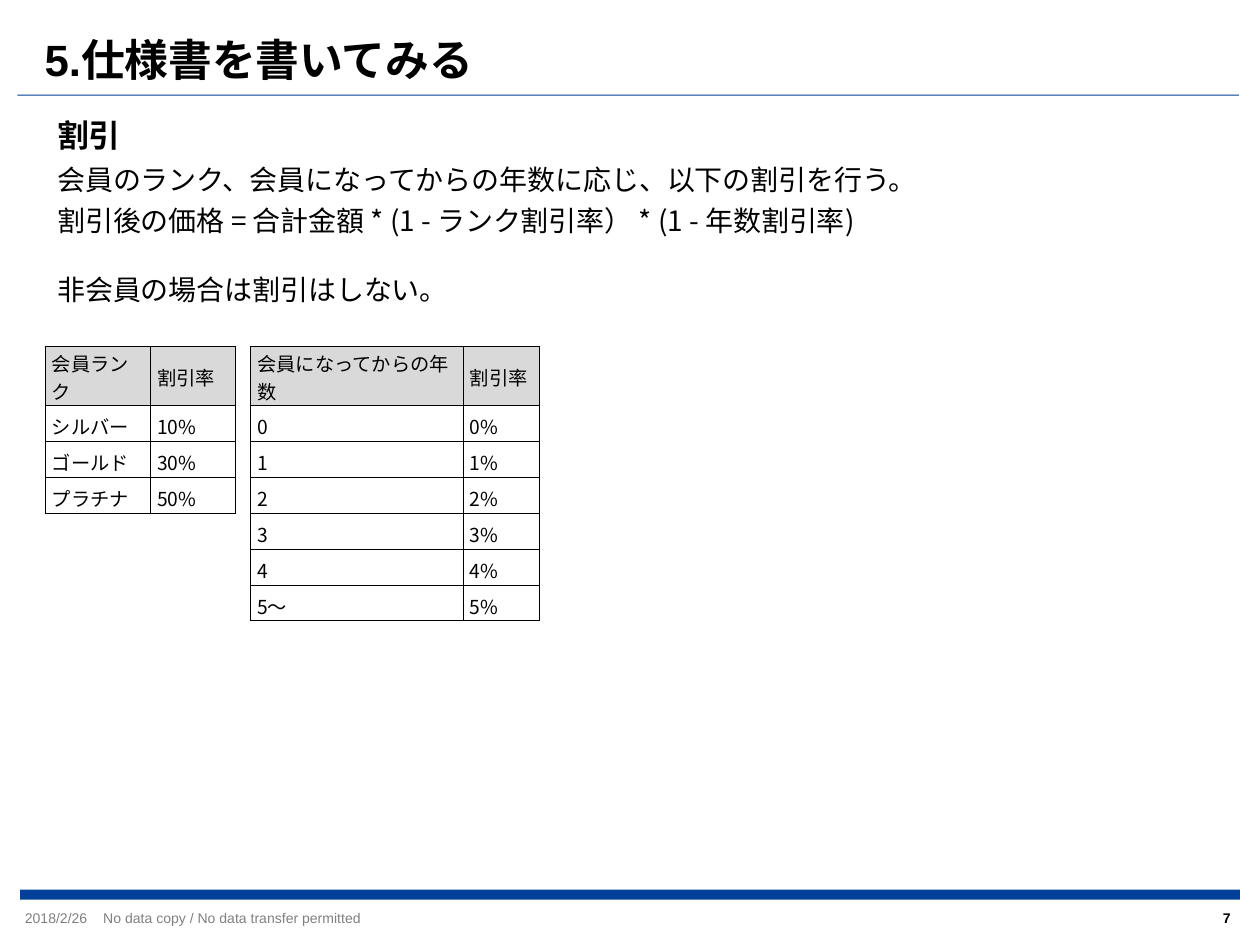
from lxml.etree import SubElement
from pptx import Presentation
from pptx.dml.color import RGBColor
from pptx.enum.shapes import MSO_SHAPE as Shape
from pptx.enum.text import MSO_ANCHOR as Anchor, PP_ALIGN as Align
from pptx.oxml.ns import qn
from pptx.util import Pt

BLACK, GRAY, BLUE, HEADER_FILL = "000000", "808080", "004098", "D9D9D9"
LATIN, JAPANESE = "Arial", "Noto Sans CJK JP"


def color(hex_text):
    """Turn a hex string into a colour."""
    return RGBColor.from_string(hex_text)


def add_span(para, text, size, font=JAPANESE, ink=BLACK, bold=False):
    """Add one formatted run to a paragraph."""
    span = para.add_run()
    span.text = text
    span.font.size = Pt(size)
    span.font.name = font
    span.font.bold = bold
    span.font.color.rgb = color(ink)
    SubElement(span.font._element, qn("a:ea")).set("typeface", JAPANESE)


def place(box, left, top, width, height):
    """Move and size a shape."""
    box.left, box.top, box.width, box.height = map(Pt, (left, top, width, height))


def set_frame(frame, side=0, top=0, anchor=Anchor.TOP, wrap=True):
    """Set the margins, anchor and wrapping of a text frame."""
    frame.margin_left = frame.margin_right = Pt(side)
    frame.margin_top, frame.margin_bottom = Pt(top), Pt(0)
    frame.vertical_anchor = anchor
    frame.word_wrap = wrap


def add_bar(page, left, top, width, height):
    """Draw a plain blue bar."""
    bar = page.shapes.add_shape(Shape.RECTANGLE, *map(Pt, (left, top, width, height)))
    bar.shadow.inherit = False
    bar.fill.solid()
    bar.fill.fore_color.rgb = color(BLUE)
    bar.line.fill.background()


def add_label(page, area, text, size, align=Align.LEFT, side=0, wrap=True, **style):
    """Add a text box with a single line."""
    box = page.shapes.add_textbox(*map(Pt, area))
    set_frame(box.text_frame, side, wrap=wrap)
    para = box.text_frame.paragraphs[0]
    para.alignment = align
    add_span(para, text, size, **style)


def fill_title(page, area, text):
    """Place the slide title with the rule under it."""
    title = page.shapes.title
    place(title, *area)
    set_frame(title.text_frame, anchor=Anchor.MIDDLE)
    para = title.text_frame.paragraphs[0]
    para.alignment = Align.LEFT
    add_span(para, text, 25, font=LATIN, bold=True)
    add_bar(page, 10, 54, 698, 0.72)


def fill_body(page, area, lines):
    """Place the rules of the discount, given as text and space before."""
    body = page.placeholders[1]
    place(body, *area)
    frame = body.text_frame
    set_frame(frame, side=7.2, top=0.4)
    for index, (text, gap) in enumerate(lines):
        para = frame.add_paragraph() if index else frame.paragraphs[0]
        para.space_before = Pt(gap)
        properties = para._p.get_or_add_pPr()
        properties.set("marL", "0")
        properties.set("indent", "0")
        SubElement(properties, qn("a:buNone"))
        add_span(para, text, 16)


def format_cell(cell, text, is_header):
    """Fill in one bordered table cell."""
    cell.margin_left = cell.margin_right = Pt(3.75)
    cell.margin_top, cell.margin_bottom = Pt(1.4 if is_header else 3.4), Pt(0)
    cell.vertical_anchor = Anchor.MIDDLE
    add_span(cell.text_frame.paragraphs[0], text, 11)
    properties = cell._tc.get_or_add_tcPr()
    for side in ("lnL", "lnR", "lnT", "lnB"):
        border = SubElement(properties, qn(f"a:{side}"), w=str(Pt(0.5)))
        solid = SubElement(border, qn("a:solidFill"))
        SubElement(solid, qn("a:srgbClr"), val=BLACK)
    if is_header:
        cell.fill.solid()
        cell.fill.fore_color.rgb = color(HEADER_FILL)
    else:
        cell.fill.background()


def add_rate_table(page, left, top, widths, rows):
    """Add a table of discount rates."""
    heights = [33.5] + [20.57] * (len(rows) - 1)
    area = map(Pt, (left, top, sum(widths), sum(heights)))
    table = page.shapes.add_table(len(rows), len(widths), *area).table
    for column, width in zip(table.columns, widths):
        column.width = Pt(width)
    for index, (row, height, texts) in enumerate(zip(table.rows, heights, rows)):
        row.height = Pt(height)
        for cell, text in zip(row.cells, texts):
            format_cell(cell, text, index == 0)


def add_footer(page, top):
    """Add the bar, date, notice and page number at the foot."""
    add_bar(page, 11.5, top, 697, 5.76)
    text_top = top + 11.5
    notice = "No data copy / No data transfer permitted"
    for left, width, text in ((14.2, 51, "2018/2/26"), (59, 171, notice)):
        add_label(page, (left, text_top, width, 11.5), text, 8,
                  wrap=False, font=LATIN, ink=GRAY)
    add_label(page, (683.3, text_top, 20, 11.5), "7", 8, Align.RIGHT,
              font=LATIN, bold=True)


def main():
    """Build the slide and save it."""
    deck = Presentation()
    deck.slide_width, deck.slide_height = Pt(720), Pt(540)
    page = deck.slides.add_slide(deck.slide_layouts[1])
    fill_title(page, (25.5, 18, 669, 31), "5.仕様書を書いてみる")
    add_label(page, (25.5, 66.5, 669, 31), "割引", 18, side=7.2, bold=True)
    fill_body(page, (25.5, 92.2, 669, 101.5), [
        ("会員のランク、会員になってからの年数に応じ、以下の割引を行う。", 0),
        ("割引後の価格 = 合計金額 * (1 - ランク割引率） * (1 - 年数割引率)", 4.3),
        ("非会員の場合は割引はしない。", 20.2),
    ])
    add_rate_table(page, 25.9, 198, (60.2, 48.5), [
        ("会員ランク", "割引率"),
        ("シルバー", "10%"), ("ゴールド", "30%"), ("プラチナ", "50%"),
    ])
    years = ["0", "1", "2", "3", "4", "5～"]
    rates = [(year, f"{rate}%") for rate, year in enumerate(years)]
    add_rate_table(page, 143.2, 198, (121.6, 43.5),
                   [("会員になってからの年数", "割引率")] + rates)
    add_footer(page, 508.3)
    deck.save("out.pptx")


if __name__ == "__main__":
    main()
